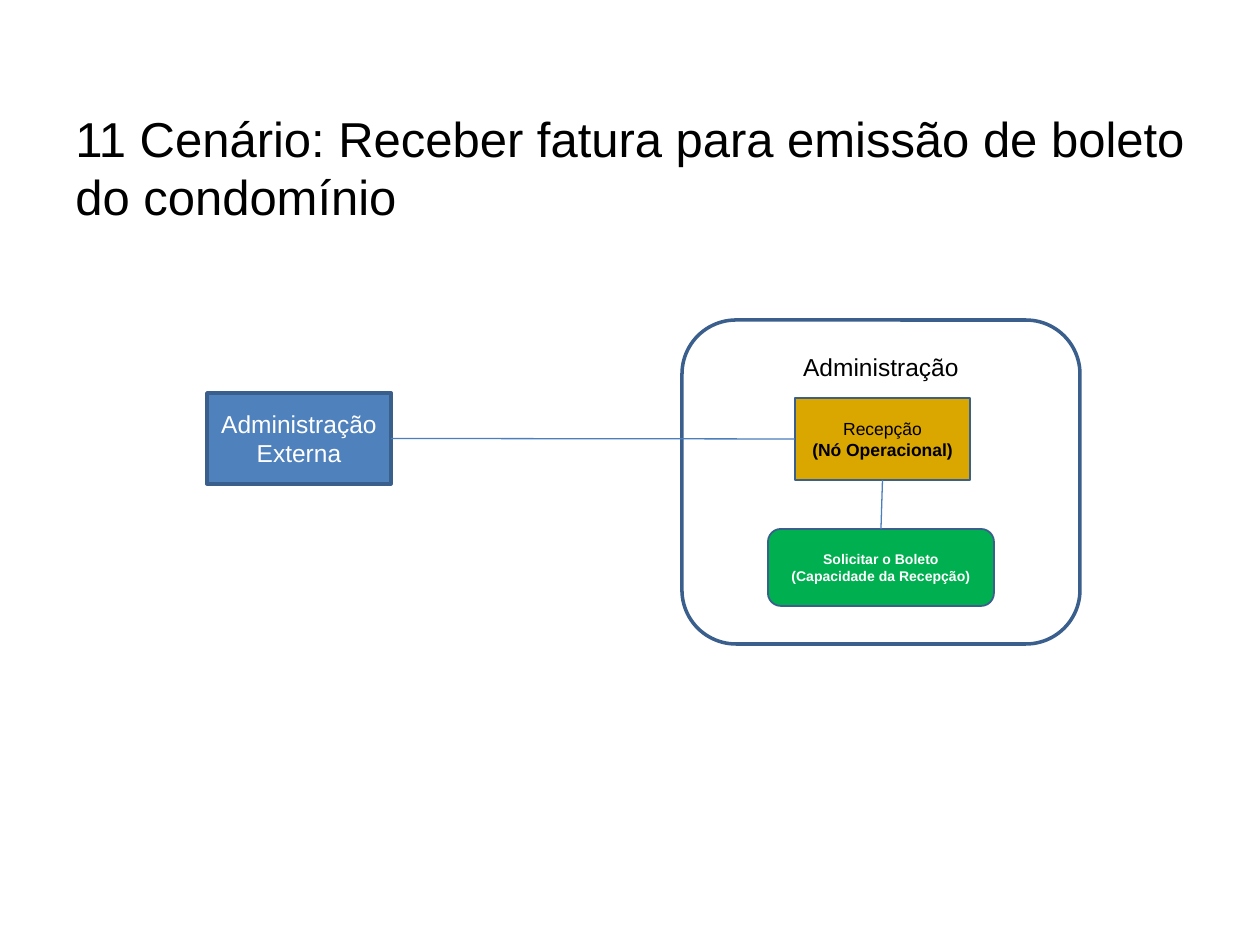
from dataclasses import dataclass
from typing import Optional

from lxml.etree import SubElement
from pptx import Presentation
from pptx.dml.color import RGBColor
from pptx.enum.shapes import MSO_CONNECTOR, MSO_SHAPE
from pptx.enum.text import MSO_ANCHOR as Anchor, PP_ALIGN as Align
from pptx.oxml.ns import qn
from pptx.util import Emu, Pt

PX_PER_INCH = 126
FONT = "Arial"
BLACK = RGBColor(0x00, 0x00, 0x00)
WHITE = RGBColor(0xFF, 0xFF, 0xFF)
BLUE = RGBColor(0x4F, 0x81, 0xBD)
OUTLINE = RGBColor(0x3A, 0x5F, 0x8C)
LINK = RGBColor(0x4B, 0x7E, 0xBC)
GOLD = RGBColor(0xDA, 0xA6, 0x00)
GREEN = RGBColor(0x00, 0xB0, 0x50)

TOP, LEFT, BOTTOM, RIGHT = range(4)


@dataclass(frozen=True)
class Node:
    name: str
    kind: MSO_SHAPE
    area: tuple[int, int, int, int]
    lines: tuple[str, ...]
    size: int
    color: RGBColor
    fill: Optional[RGBColor]
    outline: float
    bold: tuple[bool, ...] = (False,)
    anchor: Anchor = Anchor.MIDDLE
    top_inset: int = 6


@dataclass(frozen=True)
class Link:
    start: str
    start_side: int
    end: str
    end_side: int


NODES = (
    Node("external", MSO_SHAPE.RECTANGLE, (207, 393, 184, 91),
         ("Administração Externa",), 14, WHITE, BLUE, 2),
    Node("administration", MSO_SHAPE.ROUNDED_RECTANGLE, (682, 320, 398, 324),
         ("Administração",), 14, BLACK, None, 2,
         anchor=Anchor.TOP, top_inset=16),
    Node("reception", MSO_SHAPE.RECTANGLE, (795, 398, 175, 82),
         ("Recepção", "(Nó Operacional)"), 10, BLACK, GOLD, 1,
         bold=(False, True)),
    Node("request", MSO_SHAPE.ROUNDED_RECTANGLE, (768, 529, 226, 77),
         ("Solicitar o Boleto", "(Capacidade da Recepção)"), 8, WHITE, GREEN, 1,
         bold=(True, True)),
)
LINKS = (
    Link("external", RIGHT, "reception", LEFT),
    Link("reception", BOTTOM, "request", TOP),
)


def px(length: int) -> Emu:
    return Emu(round(length * 914400 / PX_PER_INCH))


def write_text(box, lines: tuple[str, ...], *, size: int, color: RGBColor,
               bold: tuple[bool, ...] = (False,), align: Align = Align.CENTER,
               anchor: Anchor = Anchor.MIDDLE, top_inset: int = 6) -> None:
    frame = box.text_frame
    frame.word_wrap = True
    frame.vertical_anchor = anchor
    frame.margin_top = px(top_inset)
    for index, (line, is_bold) in enumerate(zip(lines, bold)):
        para = frame.add_paragraph() if index else frame.paragraphs[0]
        para.alignment = align
        span = para.add_run()
        span.text = line
        span.font.name = FONT
        span.font.size = Pt(size)
        span.font.bold = is_bold
        span.font.color.rgb = color


def add_title(page, text: str) -> None:
    box = page.shapes.add_textbox(px(63), px(38), px(1134), px(207))
    box.text_frame.margin_right = 0
    write_text(box, (text,), size=28, color=BLACK, align=Align.LEFT,
               anchor=Anchor.TOP, top_inset=70)


def add_node(page, node: Node):
    box = page.shapes.add_shape(node.kind, *map(px, node.area))
    box.shadow.inherit = False
    if node.fill is None:
        box.fill.background()
    else:
        box.fill.solid()
        box.fill.fore_color.rgb = node.fill
    box.line.color.rgb = OUTLINE
    box.line.width = Pt(node.outline)
    write_text(box, node.lines, size=node.size, color=node.color,
               bold=node.bold, anchor=node.anchor, top_inset=node.top_inset)
    return box


def add_link(page, link: Link, boxes: dict) -> None:
    line = page.shapes.add_connector(MSO_CONNECTOR.STRAIGHT, 0, 0, 0, 0)
    line.begin_connect(boxes[link.start], link.start_side)
    line.end_connect(boxes[link.end], link.end_side)
    line.line.color.rgb = LINK
    line.line.width = Pt(0.75)
    SubElement(line._element.spPr, qn("a:effectLst"))


def main() -> None:
    deck = Presentation()
    deck.slide_width, deck.slide_height = px(1260), px(945)
    page = deck.slides.add_slide(deck.slide_layouts[6])
    add_title(page, "11 Cenário: Receber fatura para emissão de boleto do condomínio")
    boxes = {node.name: add_node(page, node) for node in NODES}
    for link in LINKS:
        add_link(page, link, boxes)
    deck.save("out.pptx")


if __name__ == "__main__":
    main()
